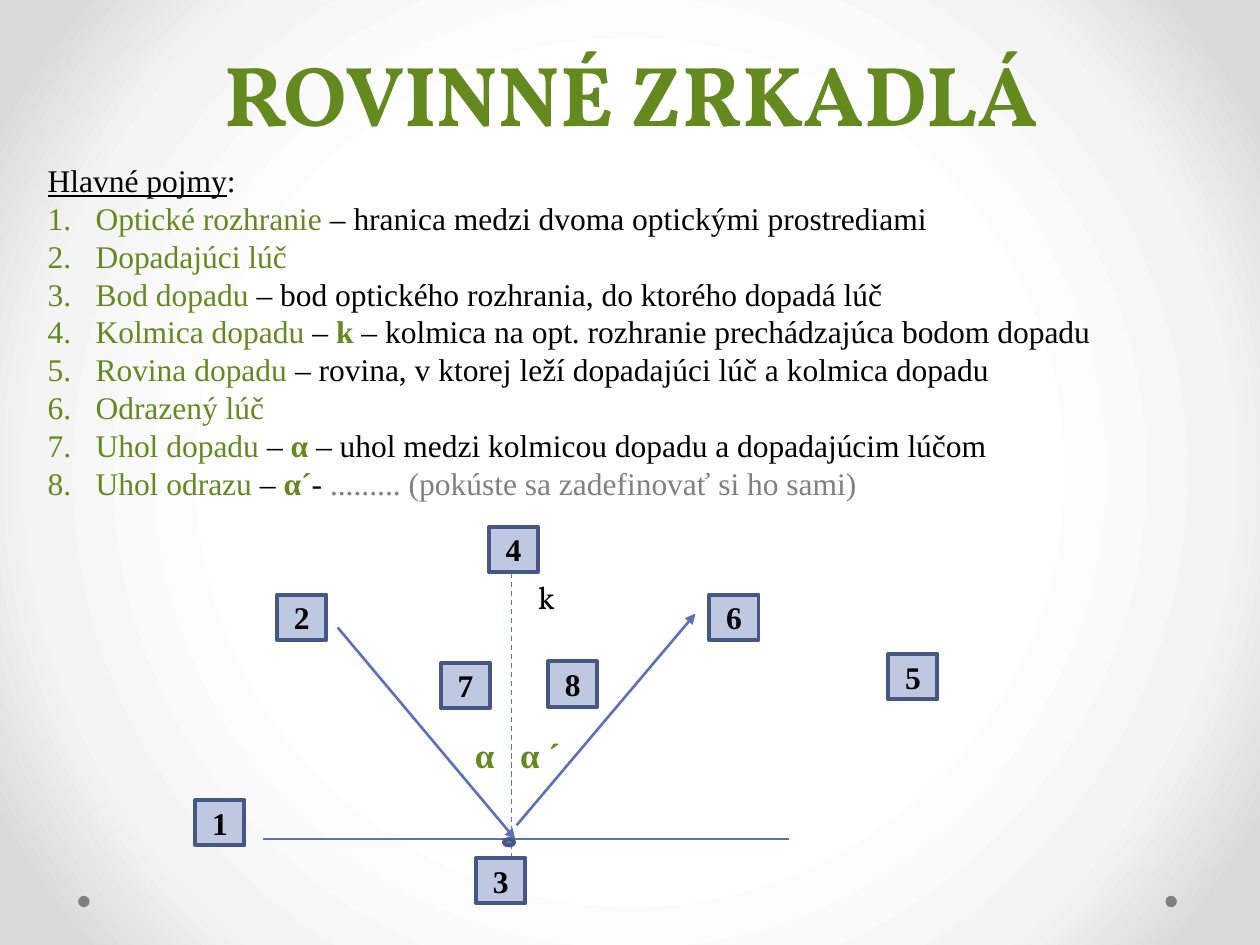
from dataclasses import dataclass

from lxml import etree
from pptx import Presentation
from pptx.dml.color import RGBColor
from pptx.enum.dml import MSO_LINE
from pptx.enum.shapes import MSO_CONNECTOR, MSO_SHAPE
from pptx.enum.text import MSO_ANCHOR, PP_ALIGN
from pptx.oxml.ns import qn
from pptx.util import Inches, Pt

STRAIGHT = MSO_CONNECTOR.STRAIGHT
ELLIPSE = MSO_SHAPE.OVAL
PROCESS = MSO_SHAPE.FLOWCHART_PROCESS
DASH = MSO_LINE.DASH
CENTER = PP_ALIGN.CENTER
MIDDLE, BOTTOM, TOP = MSO_ANCHOR.MIDDLE, MSO_ANCHOR.BOTTOM, MSO_ANCHOR.TOP


@dataclass(frozen=True)
class Theme:
    green: str = "63891F"
    black: str = "000000"
    gray: str = "808080"
    ray: str = "5C72B2"
    point: str = "6076B4"
    label: str = "BFC8E1"
    outline: str = "475785"
    backdrop: tuple = ((50, "FFFFFF"), (76, "F4F4F4"), (92, "DADADA"))
    serif: str = "Times New Roman"
    display: str = "Vollkorn"
    title_size: float = 48.6
    title_leading: int = 58
    body_size: int = 18
    angle_size: int = 20


THEME = Theme()

GREEN, BLACK, GRAY, BOLD = "green", "black", "gray", "bold"
TERMS = (
    (("Optické rozhranie ", GREEN), ("– hranica medzi dvoma optickými prostrediami", BLACK)),
    (("Dopadajúci lúč", GREEN),),
    (("Bod dopadu ", GREEN), ("– bod optického rozhrania, do ktorého dopadá lúč", BLACK)),
    (("Kolmica dopadu ", GREEN), ("– ", BLACK), ("k", BOLD),
     (" – kolmica na opt. rozhranie prechádzajúca bodom dopadu", BLACK)),
    (("Rovina dopadu ", GREEN),
     ("– rovina, v ktorej leží dopadajúci lúč a kolmica dopadu", BLACK)),
    (("Odrazený lúč", GREEN),),
    (("Uhol dopadu ", GREEN), ("– ", BLACK), ("α", BOLD),
     (" – uhol medzi kolmicou dopadu a dopadajúcim lúčom", BLACK)),
    (("Uhol odrazu ", GREEN), ("– ", BLACK), ("α´", BOLD), ("- ", BLACK),
     ("......... (pokúste sa zadefinovať si ho sami)", GRAY)),
)
LABELS = {
    "1": (0, 2.17), "2": (0.65, 0.54), "3": (2.23, 2.63), "4": (2.33, 0),
    "5": (5.5, 1.01), "6": (4.08, 0.54), "7": (1.95, 1.08), "8": (2.8, 1.07),
}


def color(value):
    return RGBColor.from_string(value)


def format_font(font, size, value, name=THEME.serif, bold=False):
    font.size = Pt(size)
    font.name = name
    font.bold = bold
    font.color.rgb = color(value)


def add_text(slide, box, text, size, value, name=THEME.serif, bold=False, anchor=TOP):
    shape = slide.shapes.add_textbox(*map(Inches, box))
    frame = shape.text_frame
    frame.word_wrap = False
    frame.vertical_anchor = anchor
    frame.text = text
    format_font(frame.paragraphs[0].runs[0].font, size, value, name, bold)
    return frame


def add_shape(slide, kind, box, fill, outline=None):
    shape = slide.shapes.add_shape(kind, *map(Inches, box))
    shape.shadow.inherit = False
    shape.fill.solid()
    shape.fill.fore_color.rgb = color(fill)
    if outline:
        shape.line.color.rgb = color(outline)
        shape.line.width = Pt(2.25)
    else:
        shape.line.fill.background()
    return shape


def add_line(slide, start, end, width, arrow=False, dash=None):
    connector = slide.shapes.add_connector(STRAIGHT, *map(Inches, (*start, *end)))
    connector.line.color.rgb = color(THEME.ray)
    connector.line.width = Pt(width)
    if dash:
        connector.line.dash_style = dash
    properties = connector.element.spPr
    if arrow:
        etree.SubElement(properties.find(qn("a:ln")), qn("a:tailEnd"), type="triangle")
    etree.SubElement(properties, qn("a:effectLst"))


def paint_background(slide):
    slide.background.fill.gradient()
    gradient = next(slide.element.iter(qn("a:gradFill")))
    for child in list(gradient):
        gradient.remove(child)
    stops = etree.SubElement(gradient, qn("a:gsLst"))
    for position, value in THEME.backdrop:
        stop = etree.SubElement(stops, qn("a:gs"), pos=str(position * 1000))
        etree.SubElement(stop, qn("a:srgbClr"), val=value)
    route = etree.SubElement(gradient, qn("a:path"), path="circle")
    etree.SubElement(route, qn("a:fillToRect"), l="50000", t="50000", r="50000", b="50000")


def add_corner_dots(slide, left, top, width):
    size = 0.09
    for x in (left, left + width - size):
        add_shape(slide, ELLIPSE, (x, top, size, size), THEME.gray)


def add_title(slide, box):
    frame = add_text(slide, box, "ROVINNÉ ZRKADLÁ", THEME.title_size, THEME.green,
                     THEME.display, True, BOTTOM)
    frame.word_wrap = True
    paragraph = frame.paragraphs[0]
    paragraph.alignment = CENTER
    paragraph.line_spacing = Pt(THEME.title_leading)


def add_terms(slide, box):
    colors = {GREEN: THEME.green, BOLD: THEME.green, BLACK: THEME.black, GRAY: THEME.gray}
    frame = add_text(slide, box, "Hlavné pojmy", THEME.body_size, THEME.black)
    heading = frame.paragraphs[0]
    heading.runs[0].font.underline = True
    colon = heading.add_run()
    colon.text = ":"
    format_font(colon.font, THEME.body_size, THEME.black)
    indent = Inches(0.38)
    for term in TERMS:
        paragraph = frame.add_paragraph()
        properties = paragraph._p.get_or_add_pPr()
        properties.set("marL", str(indent))
        properties.set("indent", str(-indent))
        etree.SubElement(properties, qn("a:buFont"), typeface="+mj-lt")
        etree.SubElement(properties, qn("a:buAutoNum"), type="arabicPeriod")
        for text, style in term:
            run = paragraph.add_run()
            run.text = text
            format_font(run.font, THEME.body_size, colors[style], bold=style == BOLD)


def add_label(slide, box, text):
    shape = add_shape(slide, PROCESS, box, THEME.label, THEME.outline)
    frame = shape.text_frame
    frame.vertical_anchor = MIDDLE
    frame.text = text
    paragraph = frame.paragraphs[0]
    paragraph.alignment = CENTER
    format_font(paragraph.runs[0].font, THEME.body_size, THEME.black, bold=True)


def add_reflection(slide, left, top):
    def at(x, y):
        return left + x, top + y

    add_line(slide, at(0.54, 2.48), at(4.71, 2.48), 0.75)
    add_line(slide, at(2.51, 2.7), at(2.51, 0.18), 0.75, dash=DASH)
    add_line(slide, at(1.13, 0.8), at(2.54, 2.48), 1.5, arrow=True)
    add_line(slide, at(2.55, 2.37), at(3.97, 0.69), 1.5, arrow=True)
    add_shape(slide, ELLIPSE, (*at(2.45, 2.48), 0.08, 0.05), THEME.point, THEME.outline)
    for text, x, width in (("α", 2.12, 0.37), ("α ´", 2.48, 0.52)):
        add_text(slide, (*at(x, 1.59), width, 0.44), text, THEME.angle_size,
                 THEME.green, bold=True)
    for text, position in LABELS.items():
        add_label(slide, (*at(*position), 0.39, 0.36), text)
    add_text(slide, (*at(2.62, 0.36), 0.34, 0.4), "k", THEME.body_size,
             THEME.black, THEME.display)


def main():
    presentation = Presentation()
    presentation.slide_width = Inches(10)
    presentation.slide_height = Inches(7.5)
    slide = presentation.slides.add_slide(presentation.slide_layouts[6])
    paint_background(slide)
    add_corner_dots(slide, 0.62, 7.11, 8.72)
    add_title(slide, (0.51, 0.29, 9, 0.9))
    add_terms(slide, (0.28, 1.23, 8.59, 2.83))
    add_reflection(slide, 1.55, 4.18)
    presentation.save("out.pptx")


if __name__ == "__main__":
    main()
